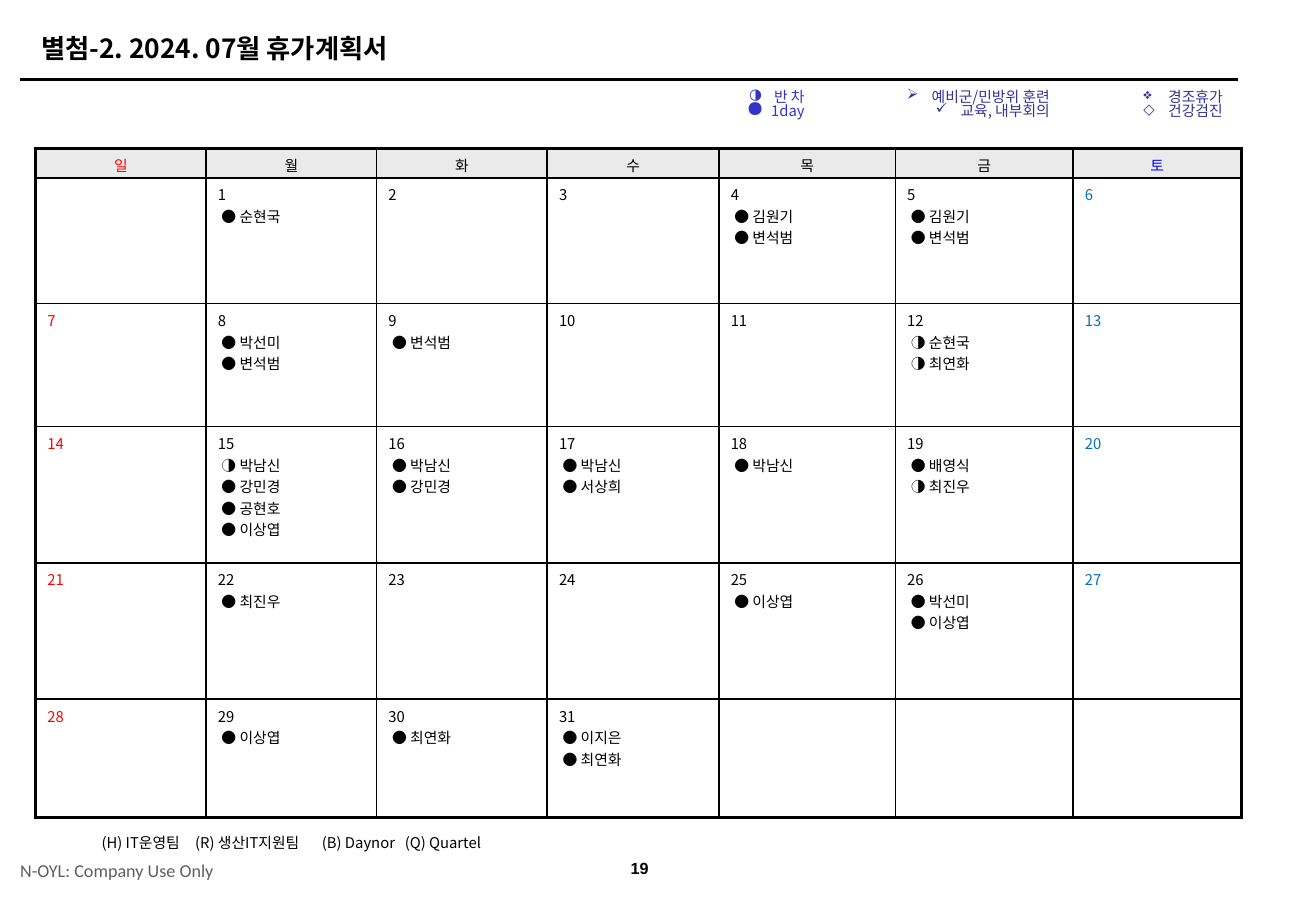
import lxml.etree
import pptx
import pptx.dml.color
import pptx.enum.shapes
import pptx.enum.text
import pptx.oxml
import pptx.oxml.ns
import pptx.util

Inches = pptx.util.Inches
Pt = pptx.util.Pt
ALIGN = pptx.enum.text.PP_ALIGN
ANCHOR = pptx.enum.text.MSO_ANCHOR
KOREAN_FONT = "Noto Sans CJK KR"
BLACK = "000000"
RED = "FF0000"

WEEKDAYS = "일월화수목금토"
COLUMN_WIDTHS = [1.44, 1.44, 1.44, 1.45, 1.49, 1.5, 1.42]
ROW_HEIGHTS = [0.25, 1.06, 1.04, 1.15, 1.15, 1]
FIRST_DAY_COLUMN = 1
DAYS_IN_MONTH = 31
LEAVES = {
    1: ["● 순현국"],
    4: ["● 김원기", "● 변석범"],
    5: ["● 김원기", "● 변석범"],
    8: ["● 박선미", "● 변석범"],
    9: ["● 변석범"],
    12: ["◑ 순현국", "◑ 최연화"],
    15: ["◑ 박남신", "● 강민경", "● 공현호", "● 이상엽"],
    16: ["● 박남신", "● 강민경"],
    17: ["● 박남신", "● 서상희"],
    18: ["● 박남신"],
    19: ["● 배영식", "◑ 최진우"],
    22: ["● 최진우"],
    25: ["● 이상엽"],
    26: ["● 박선미", "● 이상엽"],
    29: ["● 이상엽"],
    30: ["● 최연화"],
    31: ["● 이지은", "● 최연화"],
}


def color(value):
    return pptx.dml.color.RGBColor.from_string(value)


def add_element(parent, tag, **attributes):
    element = lxml.etree.SubElement(parent, pptx.oxml.ns.qn(tag))
    for name, value in attributes.items():
        element.set(name, str(value))
    return element


def write_paragraph(paragraph, text, size=9, font=KOREAN_FONT, hue=BLACK,
                    bold=False, align=ALIGN.LEFT, spacing=None, indent=0):
    paragraph.alignment = align
    if spacing:
        paragraph.line_spacing = spacing
    if indent:
        paragraph._p.get_or_add_pPr().set("marL", str(Inches(indent)))
    run = paragraph.add_run()
    run.text = text
    run.font.size = Pt(size)
    run.font.name = font
    run.font.bold = bold
    run.font.color.rgb = color(hue)
    add_element(run._r.get_or_add_rPr(), "a:ea", typeface=font)


def add_text_frame(slide, left, top, width, height, anchor=ANCHOR.MIDDLE):
    box = slide.shapes.add_textbox(Inches(left), Inches(top), Inches(width), Inches(height))
    frame = box.text_frame
    frame.word_wrap = True
    frame.vertical_anchor = anchor
    return frame


def add_text(slide, left, top, width, height, text, **text_format):
    frame = add_text_frame(slide, left, top, width, height)
    write_paragraph(frame.paragraphs[0], text, **text_format)
    return frame


def add_legend(slide, left, top, width, height, entries, hue):
    """Entries are (bullet, bullet size in percent, label)."""
    frame = add_text_frame(slide, left, top, width, height, ANCHOR.TOP)
    frame.margin_left = 0
    for index, (bullet, percent, label) in enumerate(entries):
        paragraph = frame.add_paragraph() if index else frame.paragraphs[0]
        properties = paragraph._p.get_or_add_pPr()
        properties.set("indent", str(Inches(-0.21)))
        bullet_color = add_element(properties, "a:buClr")
        add_element(bullet_color, "a:srgbClr", val=hue)
        add_element(properties, "a:buSzPct", val=percent * 1000)
        add_element(properties, "a:buChar", char=bullet)
        write_paragraph(paragraph, label, hue=hue, align=ALIGN.RIGHT,
                        spacing=0.8, indent=0.21)


def add_teams(slide, teams, tab_stops):
    frame = add_text_frame(slide, 0.76, 7, 4, 0.24)
    paragraph = frame.paragraphs[0]
    tabs = add_element(paragraph._p.get_or_add_pPr(), "a:tabLst")
    for position in tab_stops:
        add_element(tabs, "a:tab", pos=Inches(position), algn="l")
    write_paragraph(paragraph, "\t".join(teams), spacing=0.95)


def add_title_rule(slide):
    rule = slide.shapes.add_connector(
        pptx.enum.shapes.MSO_CONNECTOR.STRAIGHT,
        Inches(0.17), Inches(0.67), Inches(10.45), Inches(0.67))
    rule.line.color.rgb = color(BLACK)
    rule.line.width = Pt(1.5)
    add_element(rule._element.spPr, "a:effectLst")


def set_borders(cell, row, column):
    """Draw the table's outer edges thick and its inner edges thin."""
    outer_edges = {
        "a:lnL": column == 0,
        "a:lnR": column == len(COLUMN_WIDTHS) - 1,
        "a:lnT": row == 0,
        "a:lnB": row == len(ROW_HEIGHTS) - 1,
    }
    properties = cell._tc.get_or_add_tcPr()
    for tag, is_outer in outer_edges.items():
        line = add_element(properties, tag, w=Pt(2 if is_outer else 1))
        add_element(add_element(line, "a:solidFill"), "a:srgbClr", val=BLACK)


def fill_day(cell, day, hue):
    frame = cell.text_frame
    write_paragraph(frame.paragraphs[0], str(day), hue=hue)
    for leave in LEAVES.get(day, []):
        write_paragraph(frame.add_paragraph(), leave, indent=0.03)


def add_calendar(slide):
    table = slide.shapes.add_table(
        len(ROW_HEIGHTS), len(COLUMN_WIDTHS), Inches(0.3), Inches(1.25),
        Inches(sum(COLUMN_WIDTHS)), Inches(sum(ROW_HEIGHTS))).table
    table.first_row = False
    table.horz_banding = False
    for column, width in zip(table.columns, COLUMN_WIDTHS):
        column.width = Inches(width)
    for row, height in zip(table.rows, ROW_HEIGHTS):
        row.height = Inches(height)

    header_hues = {0: RED, 6: "0000FF"}
    day_hues = {0: RED, 6: "0070C0"}
    for row in range(len(ROW_HEIGHTS)):
        for column, weekday in enumerate(WEEKDAYS):
            cell = table.cell(row, column)
            set_borders(cell, row, column)
            if row == 0:
                cell.fill.solid()
                cell.fill.fore_color.rgb = color("EAEAEA")
                cell.vertical_anchor = ANCHOR.MIDDLE
                write_paragraph(cell.text_frame.paragraphs[0], weekday,
                                hue=header_hues.get(column, BLACK), align=ALIGN.CENTER)
                continue
            cell.fill.background()
            day = (row - 1) * len(WEEKDAYS) + column - FIRST_DAY_COLUMN + 1
            if 1 <= day <= DAYS_IN_MONTH:
                fill_day(cell, day, day_hues.get(column, BLACK))


def main():
    presentation = pptx.Presentation()
    presentation.slide_width = Inches(11.11)
    presentation.slide_height = Inches(7.57)
    slide = presentation.slides.add_slide(presentation.slide_layouts[6])

    add_title_rule(slide)
    add_text(slide, 0.25, 0.22, 9.9, 0.37, "별첨-2. 2024. 07월 휴가계획서", size=16, bold=True)
    add_legend(slide, 6.17, 0.72, 0.72, 0.4,
               [("◑", 100, "반 차"), ("●", 150, "1day")], "3333CC")
    add_legend(slide, 7.41, 0.72, 1.55, 0.4,
               [("➢", 100, "예비군/민방위 훈련"), ("✓", 100, "교육, 내부회의")], "333399")
    add_legend(slide, 8.59, 0.72, 1.83, 0.4,
               [("❖", 100, "경조휴가"), ("◇", 100, "건강검진")], "333399")
    add_calendar(slide)
    add_teams(slide, ["(H) IT운영팀", "(R) 생산IT지원팀", "(B) Daynor", "(Q) Quartel"],
              [0.79, 1.86, 2.56])
    add_text(slide, 5.13, 7.17, 0.54, 0.31, "19", size=9.8, font="Arial",
             bold=True, align=ALIGN.CENTER)
    notice = add_text(slide, 0.17, 7.19, 1.92, 0.31, "N-OYL: Company Use Only",
                      size=11, font="Calibri", hue="5F5F5F")
    notice.margin_left = notice.margin_right = 0

    presentation.save("out.pptx")


if __name__ == "__main__":
    main()
